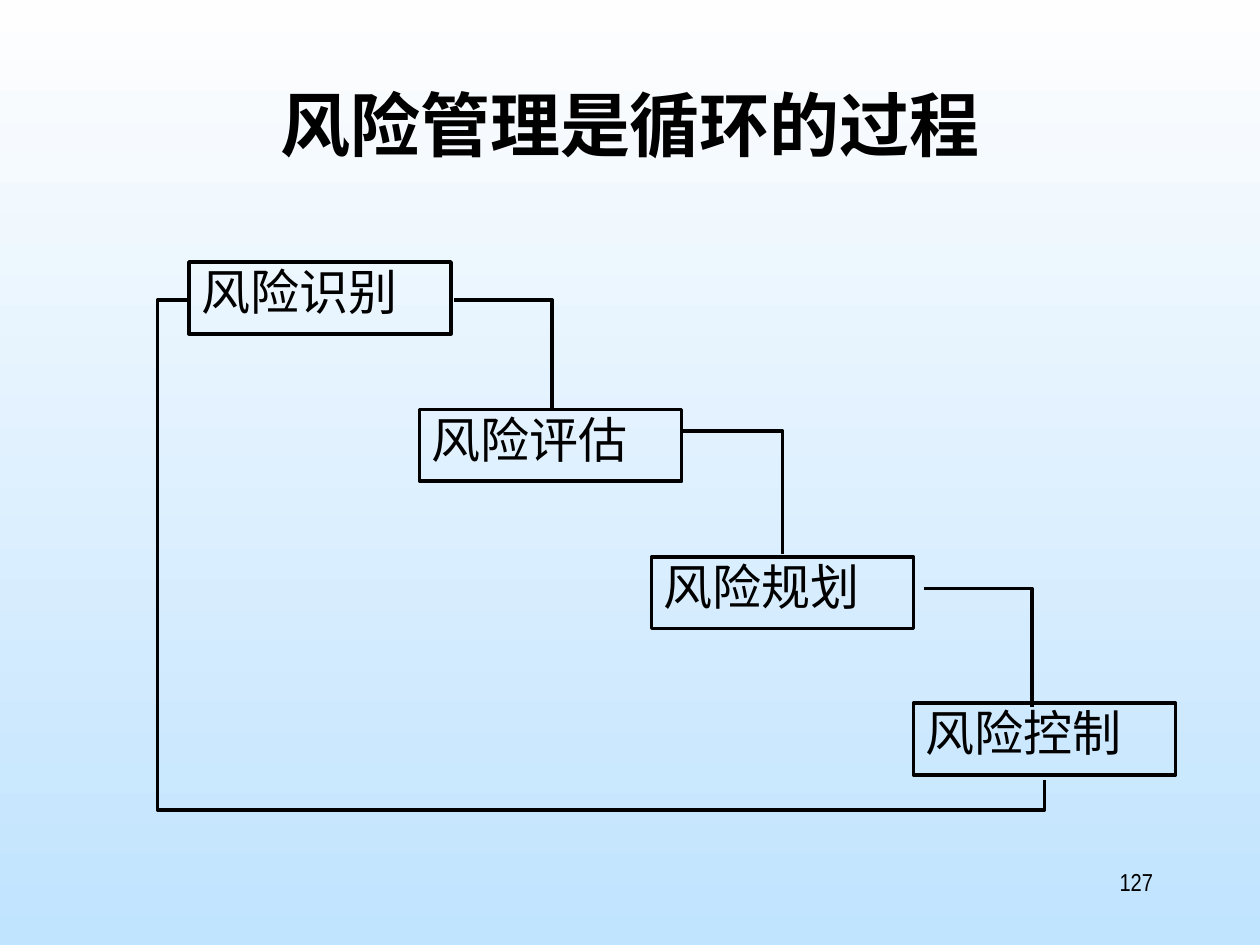
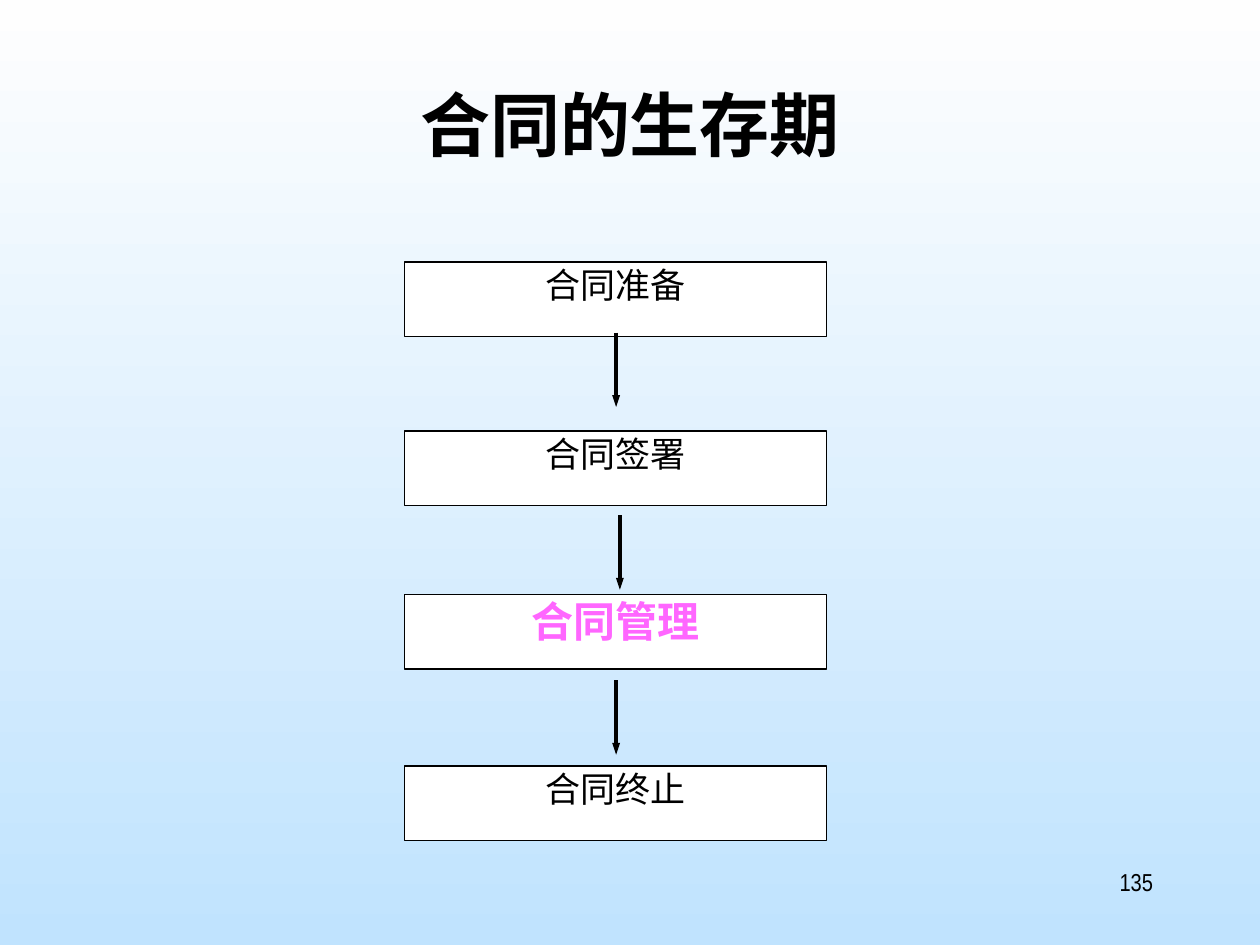
from dataclasses import dataclass

from lxml import etree
from pptx import Presentation
from pptx.dml.color import RGBColor
from pptx.enum.shapes import MSO_CONNECTOR, MSO_SHAPE
from pptx.enum.text import MSO_ANCHOR, PP_ALIGN
from pptx.oxml.ns import qn
from pptx.util import Emu, Pt

BLACK = RGBColor(0x00, 0x00, 0x00)
WHITE = RGBColor(0xFF, 0xFF, 0xFF)
PINK = RGBColor(0xFF, 0x66, 0xFF)
SKY_TOP = RGBColor(0xFE, 0xFE, 0xFE)
SKY_BOTTOM = RGBColor(0xC0, 0xE3, 0xFE)

LEFT, CENTER, RIGHT = PP_ALIGN.LEFT, PP_ALIGN.CENTER, PP_ALIGN.RIGHT
TOP = MSO_ANCHOR.TOP
RECTANGLE = MSO_SHAPE.RECTANGLE
STRAIGHT, ELBOW = MSO_CONNECTOR.STRAIGHT, MSO_CONNECTOR.ELBOW

CHINESE_FONT = "Noto Sans CJK SC"
NARROW_FONT = "Arial Narrow"
SERIF_FONT = "Times New Roman"

EMU_PER_PX = 9144  # 100 px to the inch
CHINESE_SPACING = 0.9


@dataclass(frozen=True)
class Area:
    left: int
    top: int
    width: int
    height: int


@dataclass(frozen=True)
class TextStyle:
    font: str
    size: int
    align: PP_ALIGN
    color: RGBColor = BLACK
    bold: bool = False
    spacing: float = CHINESE_SPACING


@dataclass(frozen=True)
class BoxStyle:
    line_width: float
    fill: RGBColor | None = None


@dataclass(frozen=True)
class Node:
    text: str
    area: Area
    style: TextStyle


@dataclass(frozen=True)
class Link:
    x1: int
    y1: int
    x2: int
    y2: int


TITLE_AREA = Area(75, 67, 850, 125)
NUMBER_AREA = Area(717, 683, 208, 50)
TITLE_STYLE = TextStyle(CHINESE_FONT, 40, CENTER, bold=True)
NUMBER_STYLE = TextStyle(NARROW_FONT, 14, RIGHT, spacing=1.0)

RISK_STYLE = TextStyle(NARROW_FONT, 28, LEFT)
RISK_BOX = BoxStyle(2)
RISK_NODES = [
    Node(text, Area(left, top, 208, 57), RISK_STYLE)
    for text, left, top in [
        ("风险识别", 150, 208),
        ("风险评估", 333, 325),
        ("风险规划", 517, 442),
        ("风险控制", 725, 558),
    ]
]
RISK_STEPS = [
    Link(360, 238, 438, 324),
    Link(542, 342, 621, 440),
    Link(733, 467, 819, 561),
]
RISK_RETURN = [(829, 619), (829, 643), (125, 643), (125, 238), (149, 238)]

STAGE_STYLE = TextStyle(SERIF_FONT, 20, CENTER)
STAGE_FOCUS_STYLE = TextStyle(SERIF_FONT, 24, CENTER, PINK, True)
STAGE_BOX = BoxStyle(0.75, WHITE)
STAGE_NODES = [
    Node(text, Area(321, top, 335, 59), style)
    for text, top, style in [
        ("合同准备", 208, STAGE_STYLE),
        ("合同签署", 342, STAGE_STYLE),
        ("合同管理", 472, STAGE_FOCUS_STYLE),
        ("合同终止", 608, STAGE_STYLE),
    ]
]
STAGE_ARROWS = [
    Link(x, top, x, top + 59) for x, top in [(489, 264), (492, 409), (489, 540)]
]
ARROW_WIDTH = 2.25


def px(value: int) -> Emu:
    return Emu(value * EMU_PER_PX)


def place(area: Area) -> tuple[Emu, Emu, Emu, Emu]:
    return px(area.left), px(area.top), px(area.width), px(area.height)


def write(shape, text: str, style: TextStyle) -> None:
    frame = shape.text_frame
    frame.word_wrap = True
    frame.vertical_anchor = TOP
    para = frame.paragraphs[0]
    para.alignment = style.align
    para.line_spacing = style.spacing
    span = para.add_run()
    span.text = text
    span.font.name = style.font
    span.font.size = Pt(style.size)
    span.font.bold = style.bold
    span.font.color.rgb = style.color
    east_asian = etree.Element(qn("a:ea"), typeface=CHINESE_FONT)
    span.font._element.find(qn("a:latin")).addnext(east_asian)


def stroke(shape, width: float) -> None:
    shape.line.color.rgb = BLACK
    shape.line.width = Pt(width)


def add_label(page, text: str, area: Area, style: TextStyle) -> None:
    write(page.shapes.add_textbox(*place(area)), text, style)


def add_node(page, node: Node, box_style: BoxStyle) -> None:
    box = page.shapes.add_shape(RECTANGLE, *place(node.area))
    box.shadow.inherit = False
    if box_style.fill is None:
        box.fill.background()
    else:
        box.fill.solid()
        box.fill.fore_color.rgb = box_style.fill
    stroke(box, box_style.line_width)
    write(box, node.text, node.style)


def add_link(page, link: Link, kind: MSO_CONNECTOR, width: float):
    connector = page.shapes.add_connector(
        kind, px(link.x1), px(link.y1), px(link.x2), px(link.y2)
    )
    stroke(connector, width)
    etree.SubElement(connector.element.spPr, qn("a:effectLst"))
    return connector


def add_step(page, link: Link) -> None:
    """Draw a connector that runs right and then turns down once."""
    connector = add_link(page, link, ELBOW, RISK_BOX.line_width)
    connector.element.spPr.find(qn("a:prstGeom")).set("prst", "bentConnector2")


def add_arrow(page, link: Link) -> None:
    connector = add_link(page, link, STRAIGHT, ARROW_WIDTH)
    etree.SubElement(
        connector.get_or_add_ln(), qn("a:tailEnd"), type="triangle", w="sm", len="med"
    )


def add_return_path(page, points: list[tuple[int, int]]) -> None:
    """Draw the open line that leads from the last step back to the first."""
    start, *rest = [(px(x), px(y)) for x, y in points]
    builder = page.shapes.build_freeform(*start)
    builder.add_line_segments(rest, close=False)
    outline = builder.convert_to_shape()
    outline.shadow.inherit = False
    outline.fill.background()
    stroke(outline, RISK_BOX.line_width)


def add_page(deck, title: str, number: str):
    """Add a page with the shared background, title and page number."""
    page = deck.slides.add_slide(deck.slide_layouts[6])
    fill = page.background.fill
    fill.gradient()
    fill.gradient_angle = 270
    for stop, color in zip(fill.gradient_stops, (SKY_TOP, SKY_BOTTOM)):
        stop.color.rgb = color
    add_label(page, title, TITLE_AREA, TITLE_STYLE)
    add_label(page, number, NUMBER_AREA, NUMBER_STYLE)
    return page


def add_risk_page(deck) -> None:
    page = add_page(deck, "风险管理是循环的过程", "127")
    for node in RISK_NODES:
        add_node(page, node, RISK_BOX)
    for step in RISK_STEPS:
        add_step(page, step)
    add_return_path(page, RISK_RETURN)


def add_contract_page(deck) -> None:
    page = add_page(deck, "合同的生存期", "135")
    for node in STAGE_NODES:
        add_node(page, node, STAGE_BOX)
    for arrow in STAGE_ARROWS:
        add_arrow(page, arrow)


def main() -> None:
    deck = Presentation()
    deck.slide_width, deck.slide_height = px(1000), px(750)
    add_risk_page(deck)
    add_contract_page(deck)
    deck.save("out.pptx")


if __name__ == "__main__":
    main()
